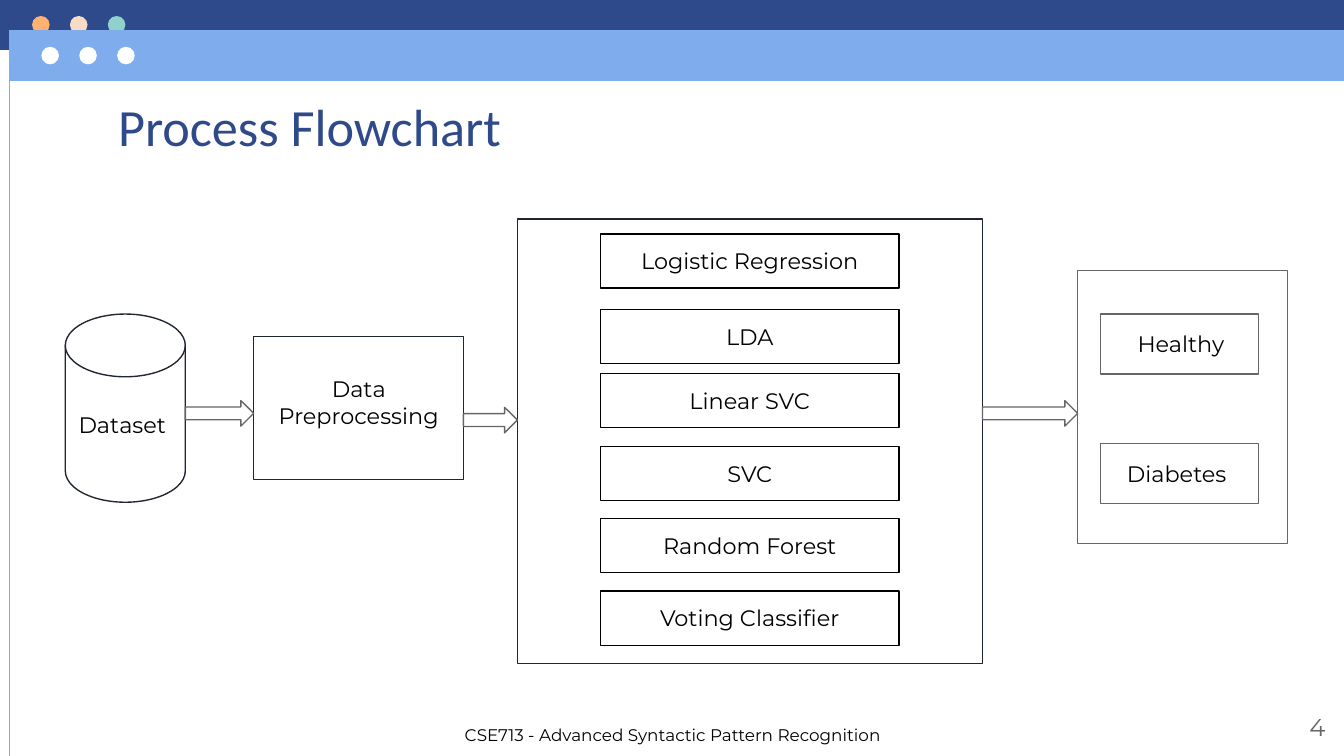
"""Build the process flowchart slide."""
from pptx import Presentation
from pptx.dml.color import RGBColor
from pptx.enum.shapes import MSO_CONNECTOR, MSO_SHAPE
from pptx.enum.text import MSO_ANCHOR, PP_ALIGN
from pptx.util import Pt
from lxml import etree

RECTANGLE, OVAL = MSO_SHAPE.RECTANGLE, MSO_SHAPE.OVAL
DISK, ARROW = MSO_SHAPE.FLOWCHART_MAGNETIC_DISK, MSO_SHAPE.RIGHT_ARROW
STRAIGHT = MSO_CONNECTOR.STRAIGHT
TOP, MIDDLE = MSO_ANCHOR.TOP, MSO_ANCHOR.MIDDLE
LEFT, CENTER, RIGHT = PP_ALIGN.LEFT, PP_ALIGN.CENTER, PP_ALIGN.RIGHT
EFFECTS = "{http://schemas.openxmlformats.org/drawingml/2006/main}effectLst"

THEME = {
    "navy": "2F4A8A", "sky": "7EACEC", "white": "FFFFFF", "black": "000000",
    "ink": "202632", "gray": "666666",
    "orange": "FFB172", "peach": "F8DBC4", "teal": "90D1CB",
    "heading font": "Calibri", "body font": "Montserrat",
    "title": 28, "label": 12, "number": 13, "footer": 9, "stroke": 0.75,
}

WIDTH, HEIGHT = 720, 405
DOT, DOT_PITCH = 9.4, 20.3
BANDS = [
    ((0, 0, WIDTH, 26.8), "navy", (17.2, 8.6), ["orange", "peach", "teal"]),
    ((5, 16.2, WIDTH - 5, 27.2), "sky", (22.2, 25.1), ["white"] * 3),
]
STAGES = [
    (DISK, (35, 168.3, 64.3, 100.8), "ink"),
    (RECTANGLE, (135.9, 180.2, 112.4, 76.7), "ink"),
    (RECTANGLE, (277.2, 117.4, 249.1, 237.9), "ink"),
    (RECTANGLE, (577.3, 144.9, 112.5, 146.2), "gray"),
]
ARROW_HEIGHT, ARROW_TOPS = 13.7, [214.6, 218.2, 214.6]
CLASSIFIERS = [
    ("Logistic Regression", 125.4), ("LDA", 165.7), ("Linear SVC", 200.2),
    ("SVC", 239.1), ("Random Forest", 277.8), ("Voting Classifier", 316.7),
]
CLASSIFIER_LEFT, CLASSIFIER_WIDTH, CLASSIFIER_HEIGHT = 321.7, 160, 29
OUTCOMES = [("Healthy", 168.3, 602.3), ("Diabetes", 237.6, 596.6)]
OUTCOME_LEFT, OUTCOME_WIDTH, OUTCOME_HEIGHT = 589.7, 84.7, 32
TEXTS = [
    ("CSE713 - Advanced Syntactic Pattern Recognition", (241.9, 383, 269.3, 25.2),
     {"size": "footer"}),
    ("Process Flowchart", (56.2, 43.2, 607.7, 36.7),
     {"size": "title", "color": "navy", "font": "heading font"}),
    ("Dataset", (35, 213.1, 64.3, 28.8), {}),
    ("Data Preprocessing", (140.4, 193.7, 103.7, 43.9), {"align": CENTER}),
    ("4", (673.9, 373.7, 43.2, 31),
     {"size": "number", "color": "gray", "align": RIGHT, "anchor": MIDDLE}),
]


def color_of(name):
    return RGBColor.from_string(THEME[name])


def draw(page, kind, bounds, fill=None, line=None):
    shape = page.shapes.add_shape(kind, *map(Pt, bounds))
    shape.shadow.inherit = False
    if fill:
        shape.fill.solid()
        shape.fill.fore_color.rgb = color_of(fill)
    else:
        shape.fill.background()
    if line:
        shape.line.color.rgb = color_of(line)
        shape.line.width = Pt(THEME["stroke"])
    else:
        shape.line.fill.background()
    return shape


def write(box, text, size="label", color="black", font="body font", align=LEFT, anchor=TOP):
    frame = box.text_frame
    frame.word_wrap = True
    frame.vertical_anchor = anchor
    frame.margin_left = frame.margin_right = Pt(7.2)
    frame.margin_top = frame.margin_bottom = Pt(7.2)
    para = frame.paragraphs[0]
    para.alignment = align
    span = para.add_run()
    span.text = text
    span.font.name = THEME[font]
    span.font.size = Pt(THEME[size])
    span.font.color.rgb = color_of(color)


def draw_header(page):
    for bounds, fill, (left, top), dots in BANDS:
        draw(page, RECTANGLE, bounds, fill=fill)
        for index, dot in enumerate(dots):
            draw(page, OVAL, (left + index * DOT_PITCH, top, DOT, DOT), fill=dot)
    edge = page.shapes.add_connector(STRAIGHT, Pt(5), Pt(16.2), Pt(5), Pt(HEIGHT))
    edge.line.color.rgb = color_of("sky")
    edge.line.width = Pt(THEME["stroke"])
    etree.SubElement(edge._element.spPr, EFFECTS)


def draw_flow(page):
    for kind, bounds, line in STAGES:
        draw(page, kind, bounds, line=line)
    for (_, source, _), (_, target, _), top in zip(STAGES, STAGES[1:], ARROW_TOPS):
        start = source[0] + source[2]
        draw(page, ARROW, (start, top, target[0] - start, ARROW_HEIGHT), line="gray")
    for name, top in CLASSIFIERS:
        bounds = (CLASSIFIER_LEFT, top, CLASSIFIER_WIDTH, CLASSIFIER_HEIGHT)
        write(draw(page, RECTANGLE, bounds, line="black"), name, align=CENTER)
    for name, top, text_left in OUTCOMES:
        draw(page, RECTANGLE, (OUTCOME_LEFT, top, OUTCOME_WIDTH, OUTCOME_HEIGHT), line="gray")
        box = page.shapes.add_textbox(Pt(text_left), Pt(top + 1.5), Pt(76), Pt(28.8))
        write(box, name)


def main():
    deck = Presentation()
    deck.slide_width, deck.slide_height = Pt(WIDTH), Pt(HEIGHT)
    page = deck.slides.add_slide(deck.slide_layouts[6])
    draw_header(page)
    draw_flow(page)
    for text, bounds, style in TEXTS:
        write(page.shapes.add_textbox(*map(Pt, bounds)), text, **style)
    deck.save("out.pptx")


if __name__ == "__main__":
    main()
